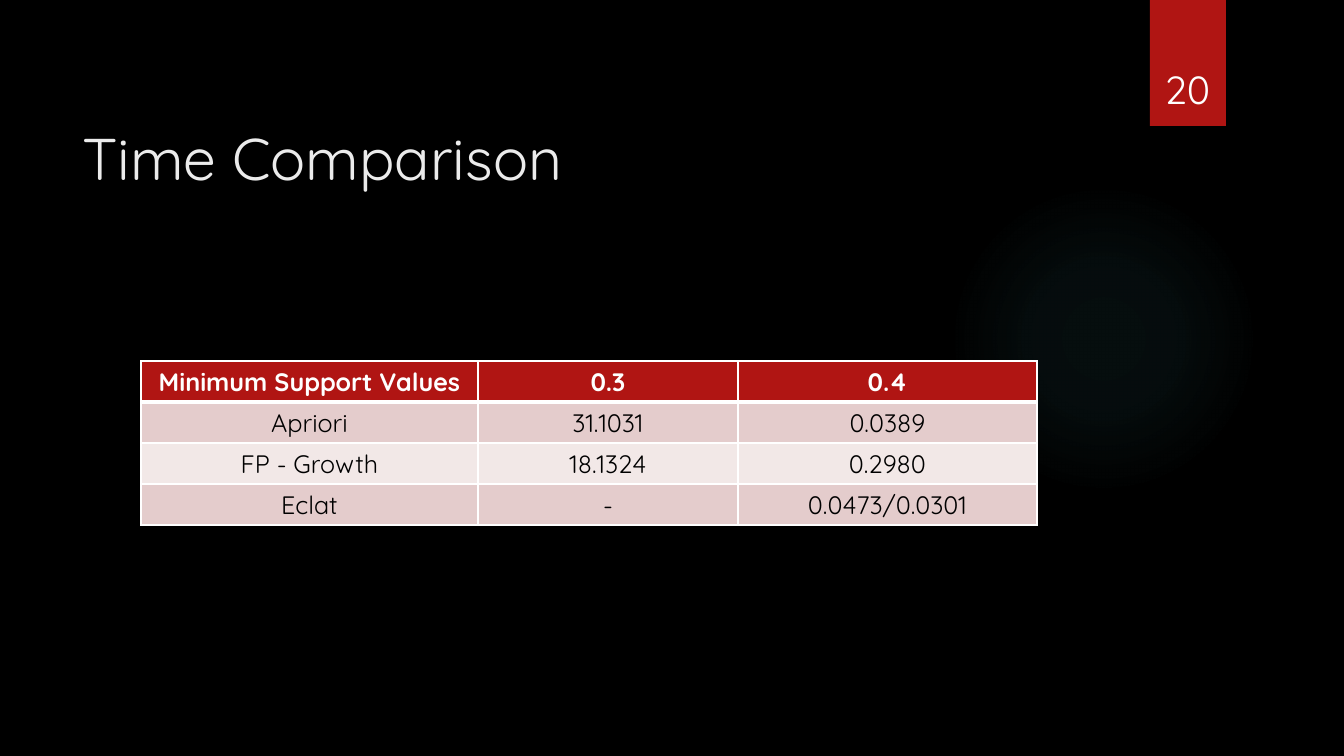
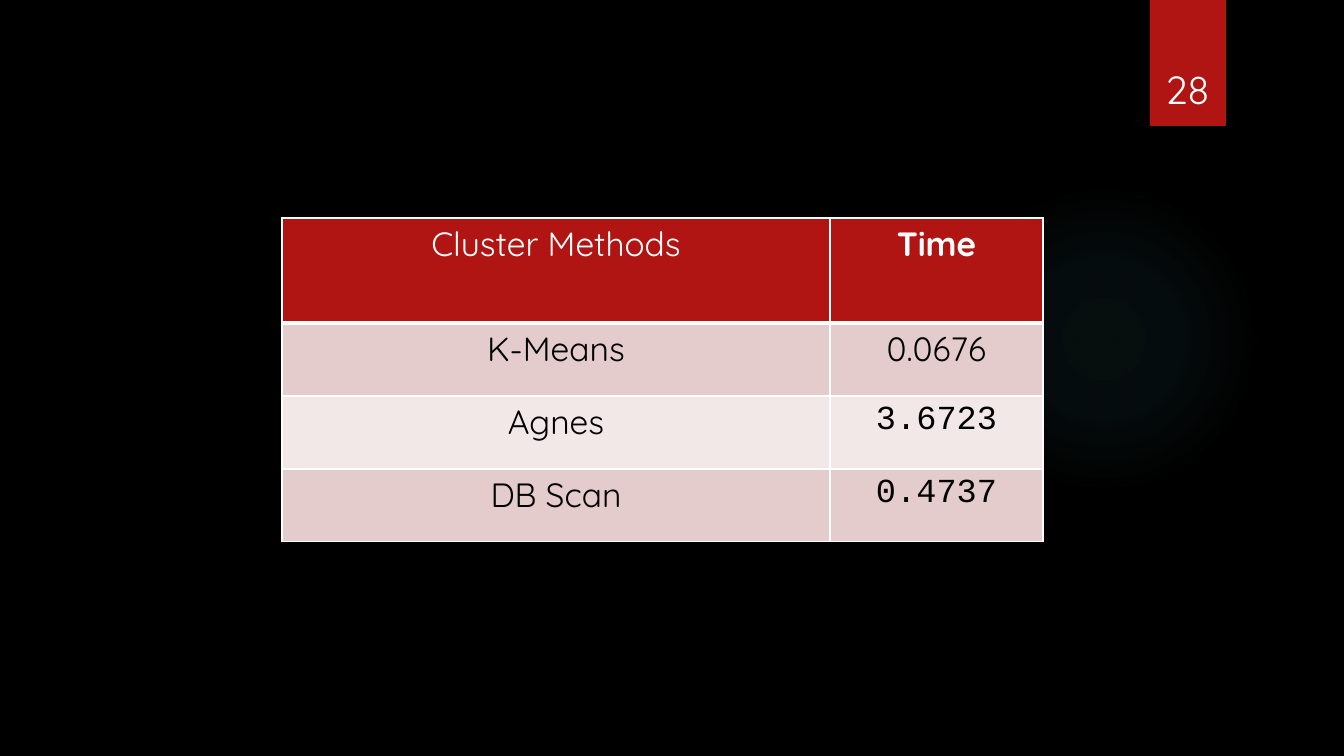
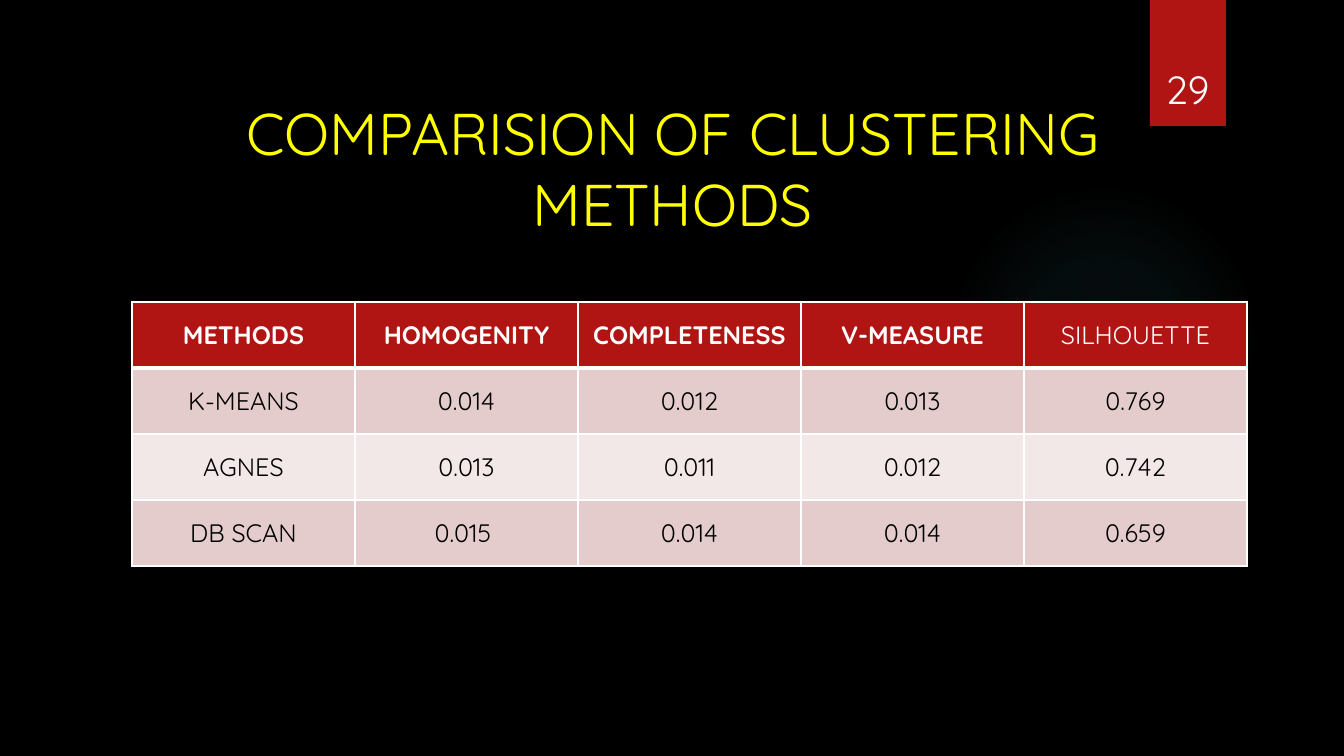
from dataclasses import dataclass

from lxml.etree import SubElement
from pptx import Presentation
from pptx.dml.color import RGBColor
from pptx.enum.shapes import MSO_SHAPE
from pptx.enum.text import MSO_ANCHOR, MSO_AUTO_SIZE, PP_ALIGN
from pptx.oxml.ns import qn
from pptx.util import Emu, Pt

SLIDE_WIDTH, SLIDE_HEIGHT = 1344, 756
EMU_PER_PX = 12192000 / SLIDE_WIDTH


@dataclass(frozen=True)
class Theme:
    background: str = "000000"
    accent: str = "B01513"
    glow: str = "50B9C1"
    light: str = "FFFFFF"
    dark: str = "000000"
    title: str = "EBEBEB"
    highlight: str = "FFFF00"
    bands: tuple = ("E4CCCC", "F2E8E7")
    font: str = "Quicksand"
    mono: str = "Courier New"
    title_size: int = 42
    number_size: int = 28
    large_size: int = 24
    table_size: int = 18
    border: int = 1
    header_border: int = 3


THEME = Theme()
GLOW_STOPS = ((0, 7), (36, 6), (69, 0))
GLOW_BOX = (949, 184, 310, 310)
FLAG_BOX = (1150, 0, 76, 126)
NUMBER_BOX = (1141, 32, 93, 85)
TITLE_ONLY, BLANK = 5, 6


def px(length):
    return Emu(round(length * EMU_PER_PX))


def place(box):
    return [px(length) for length in box]


def apply(target, values):
    for name, value in values.items():
        setattr(target, name, value)


def write(frame, text, size, color, align, **font_values):
    paragraph = frame.paragraphs[0]
    paragraph.alignment = align
    run = paragraph.add_run()
    run.text = text
    apply(run.font, {"name": THEME.font, "size": Pt(size), "bold": False, **font_values})
    run.font.color.rgb = RGBColor.from_string(color)


def paint(target, color):
    target.fill.solid()
    target.fill.fore_color.rgb = RGBColor.from_string(color)


def add_plain_shape(slide, preset, box):
    shape = slide.shapes.add_shape(preset, *place(box))
    shape.shadow.inherit = False
    shape.line.fill.background()
    return shape


def add_glow(slide, box):
    glow = add_plain_shape(slide, MSO_SHAPE.OVAL, box)
    glow.fill.background()
    no_fill = glow.element.spPr.find(qn("a:noFill"))
    gradient = no_fill.makeelement(qn("a:gradFill"), {"rotWithShape": "1"})
    stops = SubElement(gradient, qn("a:gsLst"))
    for position, opacity in GLOW_STOPS:
        stop = SubElement(stops, qn("a:gs"), pos=str(position * 1000))
        color = SubElement(stop, qn("a:srgbClr"), val=THEME.glow)
        SubElement(color, qn("a:alpha"), val=str(opacity * 1000))
    circle = SubElement(gradient, qn("a:path"), {"path": "circle"})
    SubElement(circle, qn("a:fillToRect"), dict.fromkeys("ltrb", "50000"))
    no_fill.getparent().replace(no_fill, gradient)


def add_page_number(slide, number, box):
    number_box = slide.shapes.add_textbox(*place(box))
    frame = number_box.text_frame
    apply(frame, {"word_wrap": True, "vertical_anchor": MSO_ANCHOR.BOTTOM})
    write(frame, str(number), THEME.number_size, THEME.light, PP_ALIGN.CENTER)


def add_title(slide, text, box, color, align):
    title = slide.shapes.title
    apply(title, dict(zip(("left", "top", "width", "height"), place(box))))
    apply(title.text_frame, {
        "word_wrap": True,
        "auto_size": MSO_AUTO_SIZE.NONE,
        "vertical_anchor": MSO_ANCHOR.TOP,
    })
    write(title.text_frame, text, THEME.title_size, color, align)


def add_borders(cell, row):
    widths = {
        "L": THEME.border,
        "R": THEME.border,
        "T": THEME.header_border if row == 1 else THEME.border,
        "B": THEME.header_border if row == 0 else THEME.border,
    }
    properties = cell._tc.get_or_add_tcPr()
    for index, (side, width) in enumerate(widths.items()):
        line = properties.makeelement(qn(f"a:ln{side}"), {"w": str(Pt(width))})
        fill = SubElement(line, qn("a:solidFill"))
        SubElement(fill, qn("a:srgbClr"), val=THEME.light)
        properties.insert(index, line)


def add_results(slide, rows, origin, widths, heights, size, anchor, exceptions):
    box = (*origin, sum(widths), sum(heights))
    table = slide.shapes.add_table(len(rows), len(widths), *place(box)).table
    apply(table, {"first_row": False, "horz_banding": False})
    for column, width in zip(table.columns, widths):
        column.width = px(width)
    for line, height in zip(table.rows, heights):
        line.height = px(height)
    for r, values in enumerate(rows):
        header = r == 0
        fill = THEME.accent if header else THEME.bands[(r - 1) % 2]
        color = THEME.light if header else THEME.dark
        for c, value in enumerate(values):
            cell = table.cell(r, c)
            cell.vertical_anchor = anchor
            paint(cell, fill)
            add_borders(cell, r)
            font_values = {"bold": header, **exceptions.get((r, c), {})}
            write(cell.text_frame, value, size, color, PP_ALIGN.CENTER, **font_values)


def add_base_slide(deck, layout, number):
    slide = deck.slides.add_slide(deck.slide_layouts[layout])
    add_glow(slide, GLOW_BOX)
    paint(add_plain_shape(slide, MSO_SHAPE.RECTANGLE, FLAG_BOX), THEME.accent)
    add_page_number(slide, number, NUMBER_BOX)
    return slide


def add_time_comparison(deck):
    slide = add_base_slide(deck, TITLE_ONLY, 20)
    add_title(slide, "Time Comparison", (72, 117, 1037, 154), THEME.title, PP_ALIGN.LEFT)
    rows = (
        ("Minimum Support Values", "0.3", "0.4"),
        ("Apriori", "31.1031", "0.0389"),
        ("FP - Growth", "18.1324", "0.2980"),
        ("Eclat", "-", "0.0473/0.0301"),
    )
    add_results(slide, rows, (141, 361), (337, 260, 299), [41] * 4,
                THEME.table_size, MSO_ANCHOR.TOP, {})


def add_cluster_times(deck):
    slide = add_base_slide(deck, BLANK, 28)
    rows = (
        ("Cluster Methods", "Time"),
        ("K-Means", "0.0676"),
        ("Agnes", "3.6723"),
        ("DB Scan", "0.4737"),
    )
    mono = {"name": THEME.mono}
    add_results(slide, rows, (282, 218), (548, 213), (105, 73, 73, 73),
                THEME.large_size, MSO_ANCHOR.TOP,
                {(0, 0): {"bold": False}, (2, 1): mono, (3, 1): mono})


def add_cluster_scores(deck):
    slide = add_base_slide(deck, TITLE_ONLY, 29)
    add_title(slide, "COMPARISION OF CLUSTERING METHODS", (154, 92, 1037, 154),
              THEME.highlight, PP_ALIGN.CENTER)
    rows = (
        ("METHODS", "HOMOGENITY", "COMPLETENESS", "V-MEASURE", "SILHOUETTE"),
        ("K-MEANS", "0.014", "0.012", "0.013", "0.769"),
        ("AGNES", "0.013", "0.011", "0.012", "0.742"),
        ("DB SCAN", "0.015 ", "0.014", "0.014", "0.659"),
    )
    add_results(slide, rows, (132, 302), [223] * 5, [66] * 4,
                THEME.table_size, MSO_ANCHOR.MIDDLE, {(0, 4): {"bold": False}})


def main():
    deck = Presentation()
    apply(deck, {"slide_width": px(SLIDE_WIDTH), "slide_height": px(SLIDE_HEIGHT)})
    paint(deck.slide_master.background, THEME.background)
    for add_slide in (add_time_comparison, add_cluster_times, add_cluster_scores):
        add_slide(deck)
    deck.save("out.pptx")


if __name__ == "__main__":
    main()
